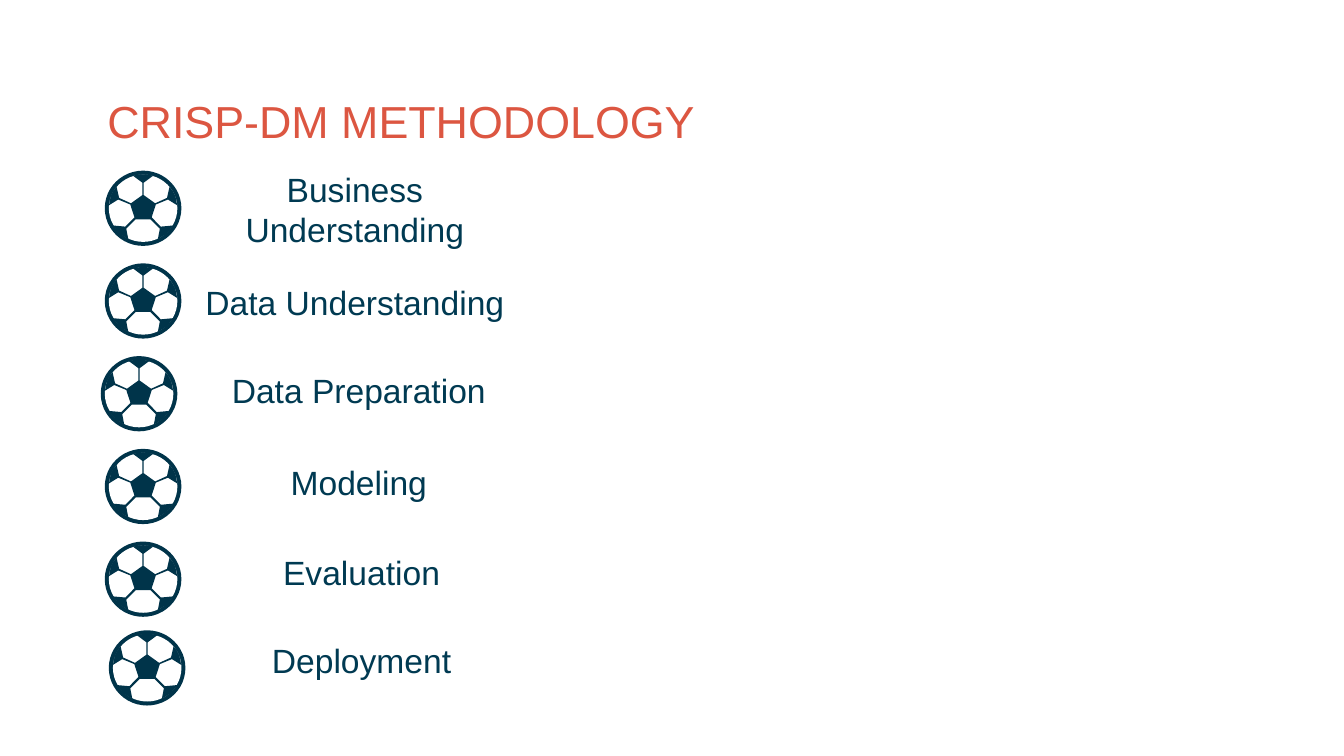
from pptx import Presentation
from pptx.dml.color import RGBColor
from pptx.enum.shapes import MSO_SHAPE
from pptx.enum.text import MSO_ANCHOR, PP_ALIGN
from pptx.util import Inches, Pt

OVAL = MSO_SHAPE.OVAL
MIDDLE = MSO_ANCHOR.MIDDLE
LEFT, CENTER = PP_ALIGN.LEFT, PP_ALIGN.CENTER

THEME = {
    "font": "Arial",
    "title": RGBColor(0xDC, 0x56, 0x41),
    "label": RGBColor(0x00, 0x3A, 0x52),
    "ball": RGBColor(0x00, 0x34, 0x4A),
    "white": RGBColor(0xFF, 0xFF, 0xFF),
    "title_size": Pt(24),
    "label_size": Pt(18),
}

BALL_W, BALL_H, RIM = 0.57, 0.56, 0.03
LABEL_W, LABEL_H = 2.58, 0.43

steps = [
    ("Business Understanding", 1.35, 1.34, 0.78, 1.27),
    ("Data Understanding", 1.35, 2.03, 0.78, 1.96),
    ("Data Preparation", 1.38, 2.69, 0.75, 2.65),
    ("Modeling", 1.38, 3.37, 0.78, 3.34),
    ("Evaluation", 1.40, 4.04, 0.78, 4.03),
    ("Deployment", 1.40, 4.70, 0.81, 4.69),
]

right_half = [
    (0, -253), (40, -250), (75, -242), (5, -190), (5, -98), (90, -37),
    (178, -77), (197, -160), (222, -128), (240, -92), (254, -22),
    (185, -65), (95, -28), (64, 68), (132, 137), (226, 128), (175, 190),
    (110, 230), (125, 152), (55, 82),
]
left_half = [(-x, y) for x, y in reversed(right_half[1:])]
pattern = right_half + left_half


def add_text(text, x, y, w, h, size, color, align):
    tf = s.shapes.add_textbox(Inches(x), Inches(y), Inches(w), Inches(h)).text_frame
    tf.word_wrap = True
    tf.vertical_anchor = MIDDLE
    tf.margin_left = tf.margin_right = Inches(0.1)
    tf.margin_top = tf.margin_bottom = Inches(0.1)
    p = tf.paragraphs[0]
    p.text = text
    p.alignment = align
    p.font.name = THEME["font"]
    p.font.size = size
    p.font.color.rgb = color


def paint(sp, color):
    sp.shadow.inherit = False
    sp.fill.solid()
    sp.fill.fore_color.rgb = color
    sp.line.fill.background()


prs = Presentation()
prs.slide_width = Inches(10)
prs.slide_height = prs.slide_width * 9 // 16
s = prs.slides.add_slide(prs.slide_layouts[6])

add_text("CRISP-DM METHODOLOGY", 0.7, 0.68, 8.82, 0.43,
         THEME["title_size"], THEME["title"], LEFT)

for name, label_x, label_y, x, y in steps:
    add_text(name, label_x, label_y, LABEL_W, LABEL_H,
             THEME["label_size"], THEME["label"], CENTER)

    ball = s.shapes.add_group_shape().shapes
    for inset, color in ((0, THEME["ball"]), (RIM, THEME["white"])):
        sp = ball.add_shape(OVAL, Inches(x + inset), Inches(y + inset),
                            Inches(BALL_W - 2 * inset), Inches(BALL_H - 2 * inset))
        paint(sp, color)

    patches = ball.build_freeform(*pattern[0], scale=Inches(0.001))
    patches.add_line_segments(pattern[1:], close=True)
    sp = patches.convert_to_shape(Inches(x + BALL_W / 2), Inches(y + BALL_H / 2))
    paint(sp, THEME["ball"])

prs.save("out.pptx")
